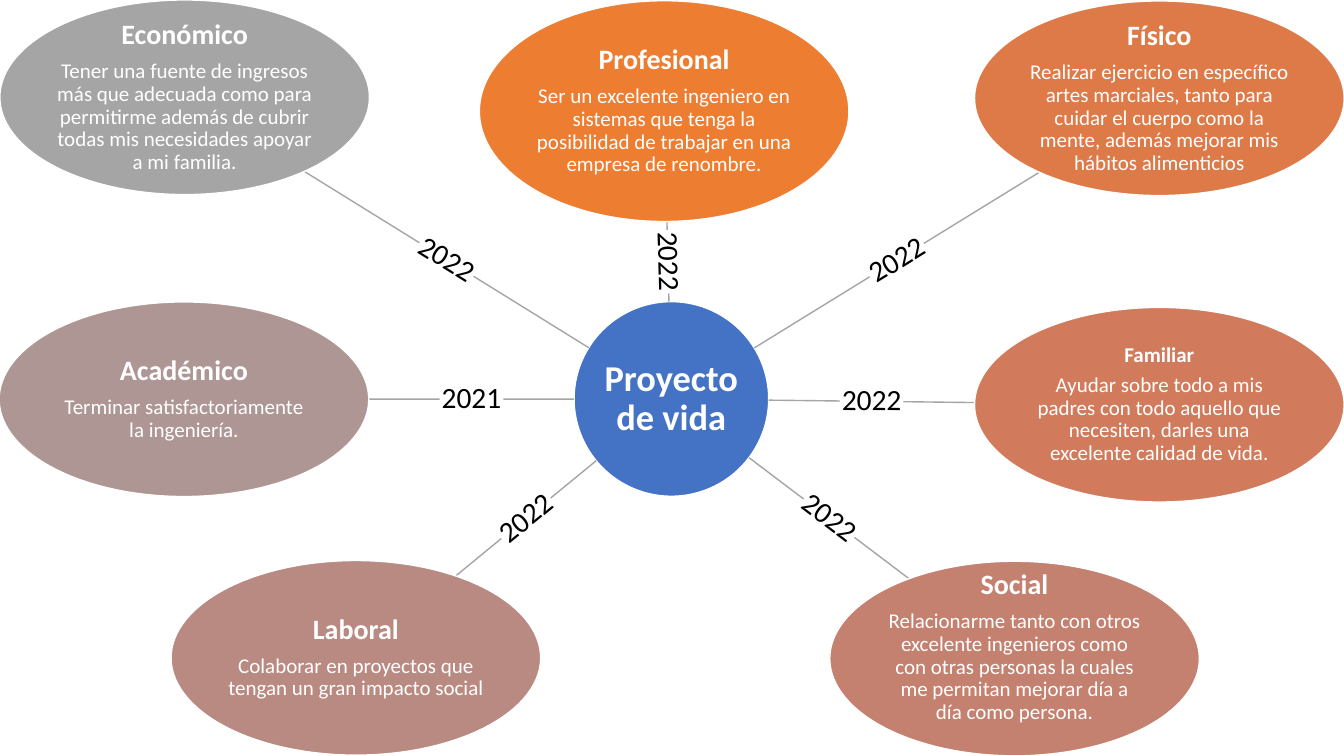
from collections import namedtuple
from math import atan2, cos, degrees, hypot, sin

from pptx import Presentation
from pptx.dml.color import RGBColor
from pptx.enum.shapes import MSO_SHAPE
from pptx.enum.text import MSO_ANCHOR, PP_ALIGN
from pptx.util import Pt

WHITE = RGBColor(0xFF, 0xFF, 0xFF)
BLACK = RGBColor(0x00, 0x00, 0x00)
BLUE = RGBColor(0x44, 0x72, 0xC4)
GRAY = RGBColor(0xA5, 0xA5, 0xA5)
ORANGE = RGBColor(0xED, 0x7D, 0x31)
COPPER = RGBColor(0xDE, 0x7A, 0x47)
CLAY = RGBColor(0xD1, 0x7B, 0x5C)
ROSE = RGBColor(0xC4, 0x81, 0x70)
MAUVE = RGBColor(0xB9, 0x8A, 0x82)
TAUPE = RGBColor(0xAE, 0x96, 0x94)

FONT = "Calibri"
GOAL_WIDTH, GOAL_HEIGHT = 264, 139
YEAR_WIDTH, YEAR_HEIGHT = 45.5, 25

# An ellipse given by its centre and size
Oval = namedtuple("Oval", "x y width height")
Goal = namedtuple("Goal", "oval color year title body title_size bottom_inset",
                  defaults=(20, 1))


def goal_oval(x, y, height=GOAL_HEIGHT):
    """Return the oval of a goal centred at x, y."""
    return Oval(x, y, GOAL_WIDTH, height)


HUB = Oval(479.6, 285, 139, 139)
GOALS = [
    Goal(goal_oval(474.4, 79.4, 157.7), ORANGE, "2022", "Profesional",
         "Ser un excelente ingeniero en sistemas que tenga la posibilidad de "
         "trabajar en una empresa de renombre."),
    Goal(goal_oval(828.1, 70.2), COPPER, "2022", "Físico",
         "Realizar ejercicio en específico artes marciales, tanto para cuidar "
         "el cuerpo como la mente, además mejorar mis hábitos alimenticios"),
    Goal(goal_oval(828.1, 289.1), CLAY, "2022", "Familiar",
         "Ayudar sobre todo a mis padres con todo aquello que necesiten, "
         "darles una excelente calidad de vida.", title_size=15),
    Goal(goal_oval(724.7, 470.4), ROSE, "2022", "Social",
         "Relacionarme tanto con otros excelente ingenieros como con otras "
         "personas la cuales me permitan mejorar día a día como persona.",
         bottom_inset=17),
    Goal(goal_oval(254.2, 469.9), MAUVE, "2022", "Laboral",
         "Colaborar en proyectos que tengan un gran impacto social"),
    Goal(goal_oval(131.4, 285.2), TAUPE, "2021", "Académico",
         "Terminar satisfactoriamente la ingeniería."),
    Goal(goal_oval(131.9, 69.5), GRAY, "2022", "Económico",
         "Tener una fuente de ingresos más que adecuada como para permitirme "
         "además de cubrir todas mis necesidades apoyar a mi familia."),
]


def write_text(shape, lines, color, inset=1, bottom_inset=1):
    """Fill a shape with centred lines, each given as (text, size, bold)."""
    frame = shape.text_frame
    frame.word_wrap = True
    frame.vertical_anchor = MSO_ANCHOR.MIDDLE
    frame.margin_left = frame.margin_right = Pt(inset)
    frame.margin_top, frame.margin_bottom = Pt(inset), Pt(bottom_inset)
    frame.text = "\n".join(text for text, size, bold in lines)
    for paragraph, (text, size, bold) in zip(frame.paragraphs, lines):
        paragraph.alignment = PP_ALIGN.CENTER
        paragraph.line_spacing = 0.9
        if text != lines[-1][0]:
            paragraph.space_after = Pt(0.35 * size)
        font = paragraph.runs[0].font
        font.name, font.size, font.bold = FONT, Pt(size), bold
        font.color.rgb = color


def box_around(x, y, width, height):
    """Return left, top, width and height of a box centred at x, y."""
    return Pt(x - width / 2), Pt(y - height / 2), Pt(width), Pt(height)


def add_oval(slide, oval, color):
    """Draw a filled ellipse with a white outline."""
    shape = slide.shapes.add_shape(MSO_SHAPE.OVAL, *box_around(*oval))
    shape.shadow.inherit = False
    shape.fill.solid()
    shape.fill.fore_color.rgb = color
    shape.line.color.rgb = WHITE
    shape.line.width = Pt(1)
    return shape


def edge_distance(oval, angle):
    """Return the distance from an oval's centre to its edge at an angle."""
    return 1 / hypot(2 * cos(angle) / oval.width, 2 * sin(angle) / oval.height)


def add_spoke(slide, hub, oval, year):
    """Join the hub to an oval with a line broken in the middle by a year."""
    angle = atan2(oval.y - hub.y, oval.x - hub.x)
    start = edge_distance(hub, angle)
    end = hypot(oval.x - hub.x, oval.y - hub.y) - edge_distance(oval, angle)
    middle = (start + end) / 2

    def point_at(distance):
        return hub.x + distance * cos(angle), hub.y + distance * sin(angle)

    def pen_at(distance):
        return [Pt(value) for value in point_at(distance)]

    builder = slide.shapes.build_freeform(*pen_at(start))
    builder.add_line_segments([pen_at(middle - YEAR_WIDTH / 2)], close=False)
    builder.move_to(*pen_at(middle + YEAR_WIDTH / 2))
    builder.add_line_segments([pen_at(end)], close=False)
    spoke = builder.convert_to_shape()
    spoke.shadow.inherit = False
    spoke.fill.background()
    spoke.line.color.rgb = GRAY
    spoke.line.width = Pt(1)

    label = slide.shapes.add_textbox(
        *box_around(*point_at(middle), YEAR_WIDTH, YEAR_HEIGHT))
    # Folded to a half turn so that the year never stands upside down
    label.rotation = (degrees(angle) + 90) % 180 - 90
    write_text(label, [(year, 21, False)], BLACK, inset=0, bottom_inset=0)


def add_goal(slide, goal):
    """Draw a goal's oval with its title and description."""
    shape = add_oval(slide, goal.oval, goal.color)
    lines = [(goal.title, goal.title_size, True), (goal.body, 15, False)]
    write_text(shape, lines, WHITE, bottom_inset=goal.bottom_inset)


def add_life_plan(slide, hub, goals):
    """Draw the hub and the goals around it."""
    write_text(add_oval(slide, hub, BLUE), [("Proyecto de vida", 26, True)], WHITE)
    for goal in goals:
        add_spoke(slide, hub, goal.oval, goal.year)
        add_goal(slide, goal)


presentation = Presentation()
presentation.slide_width, presentation.slide_height = Pt(960), Pt(540)
blank_layout = presentation.slide_layouts[6]
add_life_plan(presentation.slides.add_slide(blank_layout), HUB, GOALS)
presentation.save("out.pptx")
